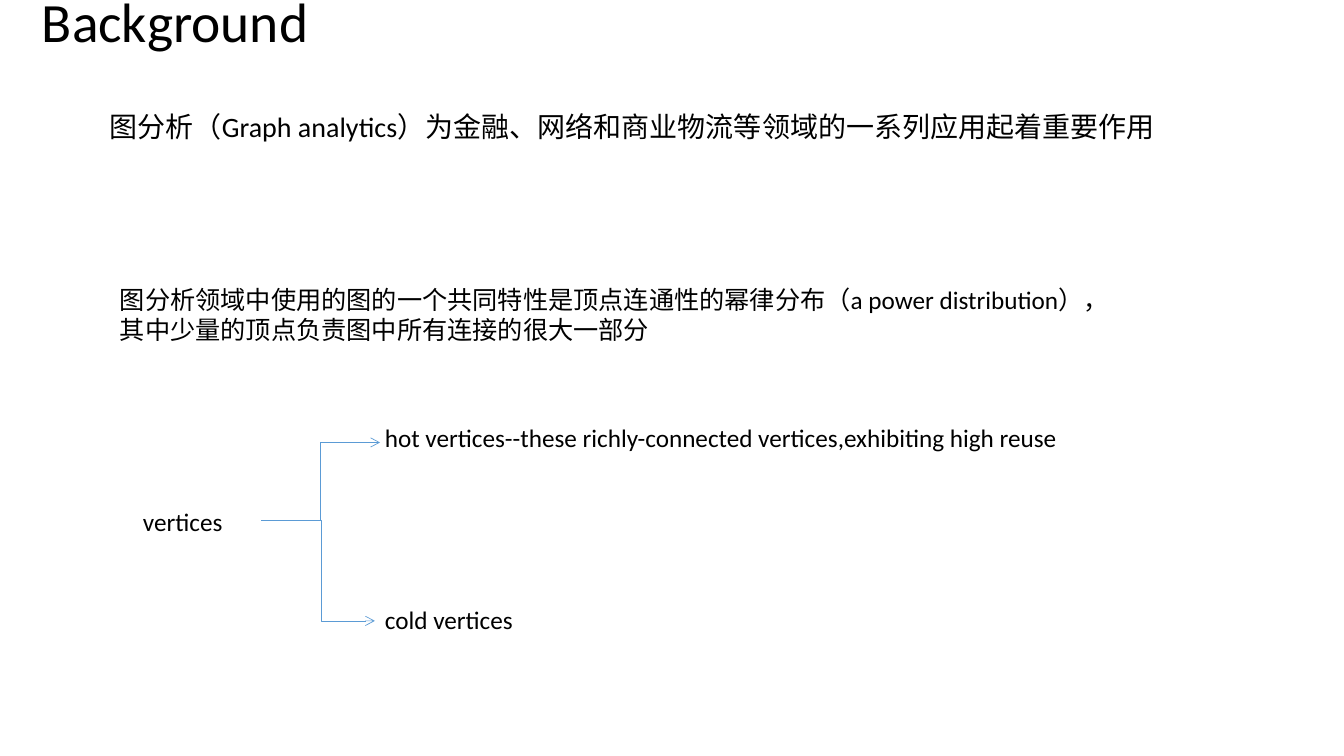
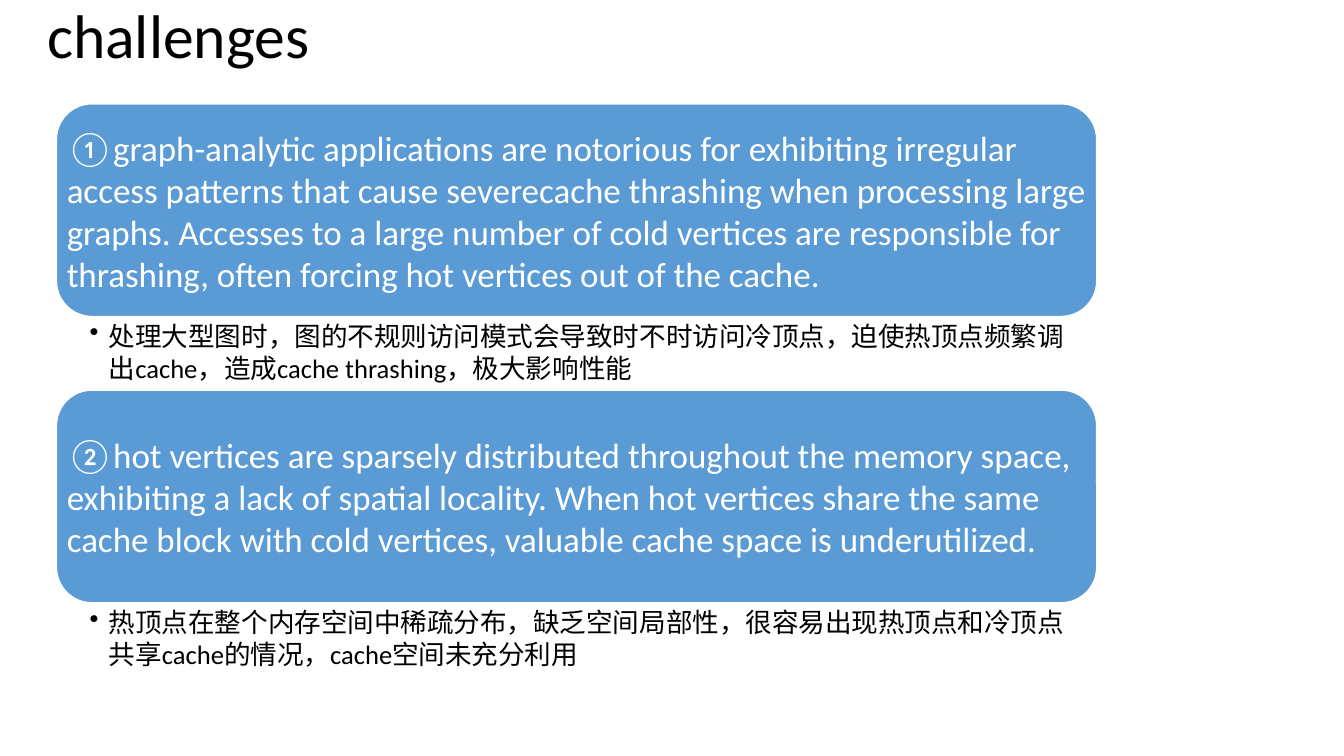
from dataclasses import dataclass

from lxml import etree
from pptx import Presentation
from pptx import util as u
from pptx.dml.color import RGBColor
from pptx.enum import shapes, text
from pptx.oxml.ns import qn

CELL = 0.1  # grid cell in inches; every length below counts columns or rows


@dataclass(frozen=True)
class Theme:
    font: str = "Calibri"
    ink: str = "000000"
    paper: str = "FFFFFF"
    accent: str = "5B9BD5"
    lead: float = 20
    body: float = 18
    card: float = 25
    note: float = 19
    thin: float = 0.5
    outline: float = 1


@dataclass(frozen=True)
class Box:
    left: float
    top: float
    width: float
    height: float

    def inside(self, left, top, width, height):
        return Box(self.left + left, self.top + top, width, height)

    def emu(self):
        return [cells(n) for n in (self.left, self.top, self.width, self.height)]


THEME = Theme()
SLIDE = Box(0, 0, 133.33, 75)


def cells(count):
    return u.Inches(count * CELL)


def color(value):
    return RGBColor.from_string(value)


def apply(target, values):
    for name, value in values.items():
        setattr(target, name, value)


def write(shape, words, size, ink=THEME.ink, frame=None, paragraph=None, bullet=None):
    """Fill a shape with one formatted paragraph."""
    apply(shape.text_frame, {"word_wrap": True, **(frame or {})})
    line = shape.text_frame.paragraphs[0]
    line.text = words
    apply(line, {"alignment": text.PP_ALIGN.LEFT, **(paragraph or {})})
    if bullet:
        properties = line._p.get_or_add_pPr()
        indent = cells(1.9)
        properties.set("marL", str(indent))
        properties.set("indent", str(-indent))
        etree.SubElement(properties, qn("a:buChar")).set("char", bullet)
    font = line.runs[0].font
    apply(font, {"name": THEME.font, "size": u.Pt(size)})
    font.color.rgb = color(ink)


def add_text(slide, box, words, size, **formats):
    write(slide.shapes.add_textbox(*box.emu()), words, size, **formats)


def add_title(slide, box, words, size, spacing):
    centred = {"alignment": text.PP_ALIGN.CENTER, "line_spacing": spacing}
    add_text(slide, box, words, size, paragraph=centred)


def add_bent_arrow(slide, box, start, end):
    points = [cells(n) for x, y in (start, end) for n in (box.left + x, box.top + y)]
    arrow = slide.shapes.add_connector(shapes.MSO_CONNECTOR.ELBOW, *points)
    arrow.line.color.rgb = color(THEME.accent)
    arrow.line.width = u.Pt(THEME.thin)
    etree.SubElement(arrow.line._get_or_add_ln(), qn("a:tailEnd")).set("type", "arrow")
    etree.SubElement(arrow._element.spPr, qn("a:effectLst"))


def add_vertex_fork(slide, box):
    """One label on the left that splits into two on the right."""
    labels = [
        ("vertices", (0, 8.3, 11.8, 4.4)),
        ("hot vertices--these richly-connected vertices,exhibiting high reuse", (24, 0, 70.6, 4.8)),
        ("cold vertices", (24, 18.1, 33.1, 5.4)),
    ]
    for words, place in labels:
        add_text(slide, box.inside(*place), words, THEME.body)
    add_bent_arrow(slide, box, (12.7, 10.2), (24.5, 2.5))
    add_bent_arrow(slide, box, (13.4, 10.2), (24, 20.2))


def add_challenge(slide, box, statement, note):
    """A rounded card with a bulleted note under it."""
    card_height = 21.1
    card_box = box.inside(0, 0, box.width, card_height)
    card = slide.shapes.add_shape(shapes.MSO_SHAPE.ROUNDED_RECTANGLE, *card_box.emu())
    card.shadow.inherit = False
    card.fill.solid()
    card.fill.fore_color.rgb = color(THEME.accent)
    card.line.color.rgb = color(THEME.paper)
    card.line.width = u.Pt(THEME.outline)
    flush = {f"margin_{side}": 0 for side in ("left", "top", "right", "bottom")}
    write(card, statement, THEME.card, ink=THEME.paper,
          frame={**flush, "vertical_anchor": text.MSO_ANCHOR.MIDDLE})

    margins = {"margin_left": cells(3.3), "margin_right": cells(1.9),
               "margin_top": cells(0.3), "margin_bottom": cells(0.3)}
    note_box = box.inside(0, card_height, box.width, box.height - card_height)
    add_text(slide, note_box, note, THEME.note, frame=margins, bullet="•")


def build_background(slide, box):
    add_title(slide, box.inside(0, 0, 36, 7.5), "Background ", 39.6, 0.7)
    add_text(slide, box.inside(9.9, 10.4, 107.4, 5.9),
             "图分析（Graph analytics）为金融、网络和商业物流等领域的一系列应用起着重要作用", THEME.lead)
    add_text(slide, box.inside(10.9, 27.7, 100.5, 9.2),
             "图分析领域中使用的图的一个共同特性是顶点连通性的幂律分布（a power distribution），"
             "其中少量的顶点负责图中所有连接的很大一部分", THEME.body)
    add_vertex_fork(slide, box.inside(13.2, 41.4, 94.6, 23.5))


def build_challenges(slide, box):
    add_title(slide, box.inside(0, 0, 35.4, 8.4), "challenges", 44, 0.9)
    challenges = [
        ("①graph-analytic applications are notorious for exhibiting irregular access patterns "
         "that cause severecache thrashing when processing large graphs. Accesses to a large "
         "number of cold vertices are responsible for thrashing, often forcing hot vertices "
         "out of the cache.",
         "处理大型图时，图的不规则访问模式会导致时不时访问冷顶点，迫使热顶点频繁调出cache，"
         "造成cache thrashing，极大影响性能"),
        ("②hot vertices are sparsely distributed throughout the memory space, exhibiting a lack "
         "of spatial locality. When hot vertices share the same cache block with cold vertices, "
         "valuable cache space is underutilized.",
         "热顶点在整个内存空间中稀疏分布，缺乏空间局部性，很容易出现热顶点和冷顶点共享cache的情况，"
         "cache空间未充分利用"),
    ]
    row_height = 28.4
    for row, (statement, note) in enumerate(challenges):
        place = box.inside(5.6, 10.3 + row * row_height, 103.2, row_height)
        add_challenge(slide, place, statement, note)


def main():
    presentation = Presentation()
    presentation.slide_width = cells(SLIDE.width)
    presentation.slide_height = cells(SLIDE.height)
    blank = presentation.slide_layouts[6]
    for build in (build_background, build_challenges):
        build(presentation.slides.add_slide(blank), SLIDE)
    presentation.save("out.pptx")


if __name__ == "__main__":
    main()
